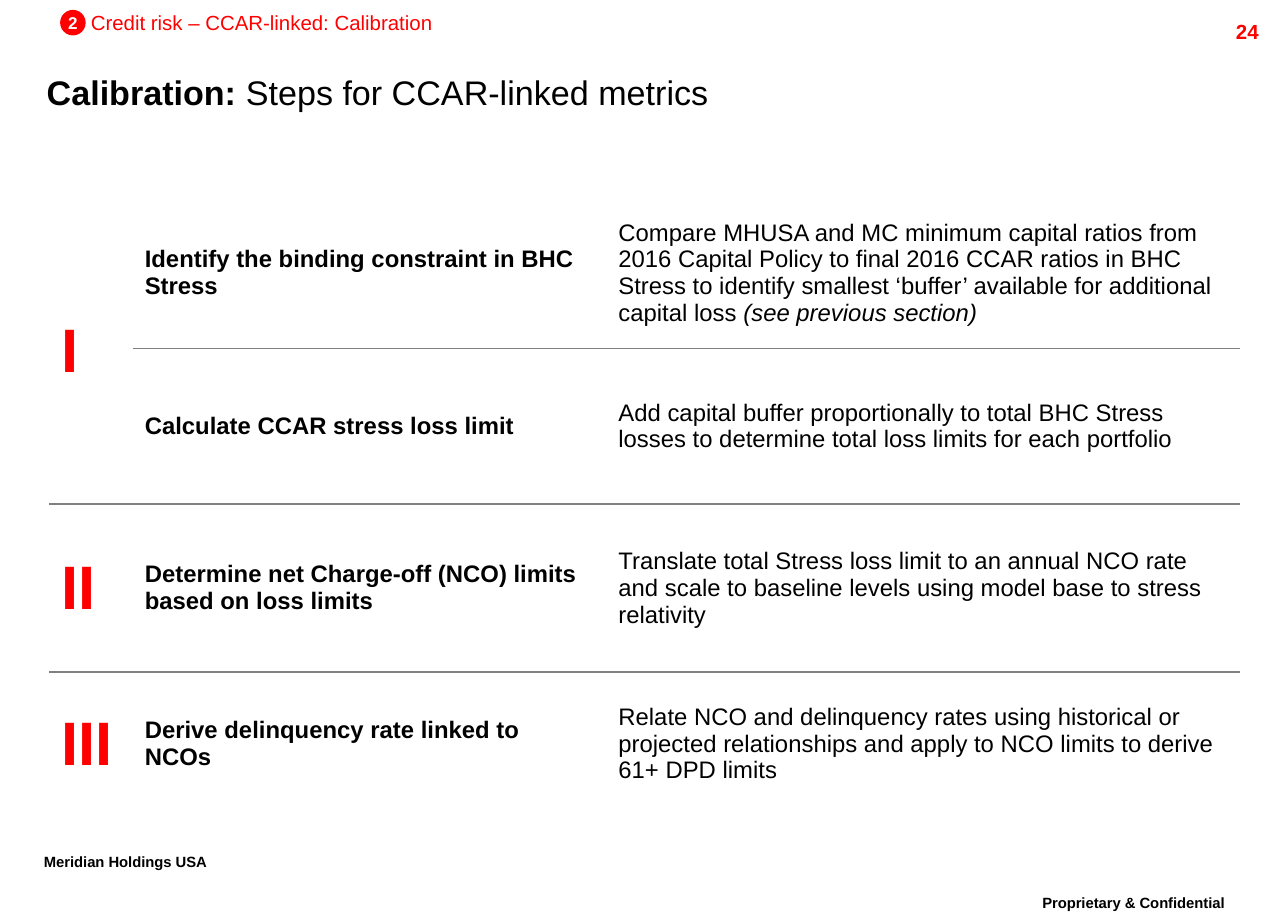
import pptx
import pptx.dml.color
import pptx.enum.shapes
import pptx.enum.text
import pptx.oxml
import pptx.oxml.ns
import pptx.util

Pt = pptx.util.Pt
ALIGN = pptx.enum.text.PP_ALIGN
ANCHOR = pptx.enum.text.MSO_ANCHOR
RED, BLACK, WHITE, GRAY = "FF0000", "000000", "FFFFFF", "808080"

COLUMN_WIDTHS = [49, 268.6, 381.6]
ROW_HEIGHTS = [88.6, 91.4, 98.6, 84.2]
STEPS = [
    ("I", "Identify the binding constraint in BHC Stress",
     ["Compare MHUSA and MC minimum capital ratios from 2016 Capital Policy to final 2016 CCAR "
      "ratios in BHC Stress to identify smallest ‘buffer’ available for additional capital loss ",
      "(see previous section)"]),
    ("", "Calculate CCAR stress loss limit",
     ["Add capital buffer proportionally to total BHC Stress losses to determine total loss "
      "limits for each portfolio"]),
    ("II", "Determine net Charge-off (NCO) limits based on loss limits",
     ["Translate total Stress loss limit to an annual NCO rate and scale to baseline levels "
      "using model base to stress relativity"]),
    ("III", "Derive delinquency rate linked to NCOs",
     ["Relate NCO and delinquency rates using historical or projected relationships and apply "
      "to NCO limits to derive 61+ DPD limits"]),
]


def color(value):
    """Turn a hex string into a colour."""
    return pptx.dml.color.RGBColor.from_string(value)


def write(frame, spans, size, ink=BLACK, bold=None, align=ALIGN.LEFT):
    """Fill the first paragraph of a frame with spans and return it."""
    paragraph = frame.paragraphs[0]
    paragraph.alignment = align
    for text in spans:
        paragraph.add_run().text = text
    font = paragraph.font
    font.name, font.size, font.bold = "Arial", Pt(size), bold
    font.color.rgb = color(ink)
    return paragraph


def set_insets(frame, inset):
    """Give a frame the same inset on all sides."""
    frame.margin_left = frame.margin_right = Pt(inset)
    frame.margin_top = frame.margin_bottom = Pt(inset)


def add_text(page, box, spans, size, ink=BLACK, bold=None, align=ALIGN.LEFT,
             inset=None, anchor=ANCHOR.TOP, wrap=True):
    """Add a text box and return its paragraph."""
    frame = page.shapes.add_textbox(*map(Pt, box)).text_frame
    frame.word_wrap, frame.vertical_anchor = wrap, anchor
    if inset is not None:
        set_insets(frame, inset)
    return write(frame, spans, size, ink, bold, align)


def add_section_marker(page, box):
    """Add the numbered disc and the section name beside it."""
    left, top, width, height = box
    disc = page.shapes.add_shape(pptx.enum.shapes.MSO_SHAPE.OVAL,
                                 Pt(left), Pt(top), Pt(height), Pt(height))
    disc.shadow.inherit = False
    disc.fill.solid()
    disc.fill.fore_color.rgb = color(RED)
    disc.line.fill.background()
    frame = disc.text_frame
    frame.word_wrap, frame.vertical_anchor = False, ANCHOR.MIDDLE
    set_insets(frame, 0)
    write(frame, ["2"], 10, WHITE, True, ALIGN.CENTER)
    add_text(page, (left + 18, top, width - 18, height),
             ["Credit risk – CCAR-linked: Calibration"], 12, RED, inset=0, wrap=False)


def add_title(page, box):
    """Add the title with its bold lead word."""
    paragraph = add_text(page, box, ["Calibration: ", "Steps for CCAR-linked metrics"], 20,
                         inset=0, anchor=ANCHOR.MIDDLE)
    paragraph.runs[0].font.bold = True


def add_footer(page, box, text, align):
    """Add a raised footer line."""
    paragraph = add_text(page, box, [text], 15, bold=True, align=align)
    paragraph.line_spacing = 0.86
    span = paragraph.runs[0]
    span.font.size = Pt(15)
    span._r.get_or_add_rPr().set("baseline", "30000")


def set_borders(cell, above, below):
    """Rule a cell above and below where asked and nowhere else."""
    properties = cell._tc.get_or_add_tcPr()
    sides = [("lnL", False), ("lnR", False), ("lnT", above), ("lnB", below)]
    for index, (side, ruled) in enumerate(sides):
        fill = f'<a:solidFill><a:srgbClr val="{GRAY}"/></a:solidFill>' if ruled else "<a:noFill/>"
        properties.insert(index, pptx.oxml.parse_xml(
            f'<a:{side} {pptx.oxml.ns.nsdecls("a")} w="12700">{fill}</a:{side}>'))


def add_steps_table(page, box):
    """Add the table of calibration steps."""
    table = page.shapes.add_table(len(STEPS), len(COLUMN_WIDTHS), *map(Pt, box)).table
    table.first_row = table.horz_banding = False
    for column, width in zip(table.columns, COLUMN_WIDTHS):
        column.width = Pt(width)
    for row, height in zip(table.rows, ROW_HEIGHTS):
        row.height = Pt(height)
    table.cell(0, 0).merge(table.cell(1, 0))
    for row, (numeral, step, details) in enumerate(STEPS):
        for column in range(len(COLUMN_WIDTHS)):
            cell = table.cell(row, column)
            cell.vertical_anchor = ANCHOR.MIDDLE
            cell.fill.background()
            above = row > 0 and (row, column) != (1, 0)
            set_borders(cell, above, row < len(STEPS) - 1)
        if numeral:
            write(table.cell(row, 0).text_frame, [numeral], 36, RED, True)
        write(table.cell(row, 1).text_frame, [step], 14, bold=True)
        paragraph = write(table.cell(row, 2).text_frame, details, 14, bold=False)
        paragraph._p.get_or_add_pPr().set("marL", str(Pt(9.4)))
        for span in paragraph.runs[1:]:
            span.font.italic = True


def main():
    """Build the deck and save it."""
    deck = pptx.Presentation()
    deck.slide_width, deck.slide_height = Pt(756), Pt(540)
    page = deck.slides.add_slide(deck.slide_layouts[6])
    add_footer(page, (586.8, 522, 157, 25.2), "Proprietary & Confidential", ALIGN.CENTER)
    add_footer(page, (18.7, 497.5, 137.5, 25.2), "Meridian Holdings USA", ALIGN.LEFT)
    add_text(page, (673.9, 7.9, 72, 17.3), ["24"], 12, RED, True, ALIGN.RIGHT)
    add_steps_table(page, (28.8, 115.9, sum(COLUMN_WIDTHS), sum(ROW_HEIGHTS)))
    add_title(page, (27.4, 36.7, 682.6, 34.6))
    add_section_marker(page, (35.3, 5.8, 220.3, 15))
    deck.save("out.pptx")


if __name__ == "__main__":
    main()
